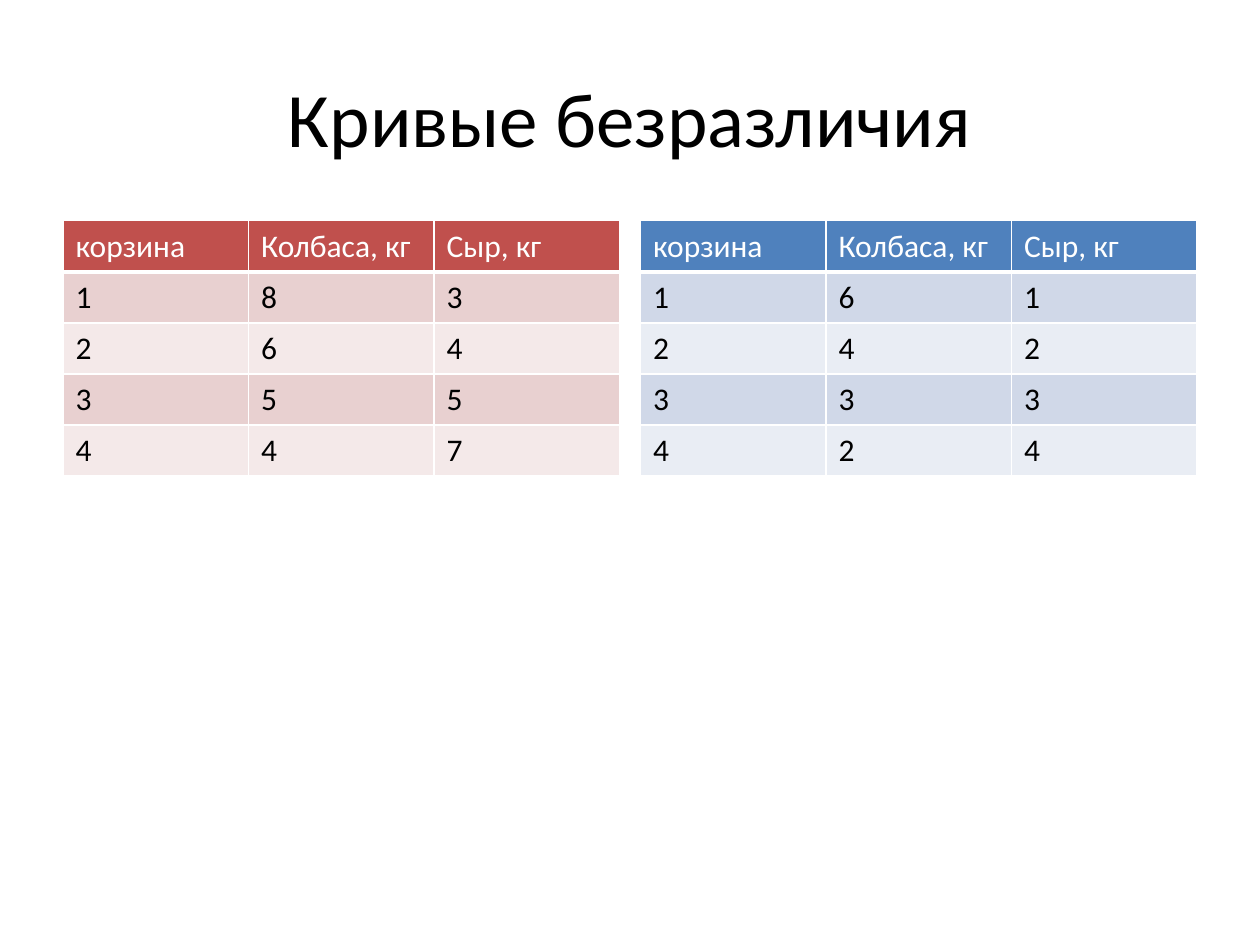
from dataclasses import dataclass

from lxml.etree import SubElement
from pptx import Presentation
from pptx.dml.color import RGBColor
from pptx.enum.text import MSO_ANCHOR, PP_ALIGN
from pptx.oxml.ns import qn
from pptx.util import Cm, Pt


@dataclass(frozen=True)
class Theme:
    font: str = "Calibri"
    title_size: int = 44
    table_size: int = 18
    dark: str = "000000"
    light: str = "FFFFFF"
    # Header, odd row, even row
    red: tuple = ("C0504D", "E8D0D0", "F4E9E9")
    blue: tuple = ("4F81BD", "D0D8E8", "E9EDF4")


theme = Theme()


def style_text(paragraph, size, color):
    font = paragraph.runs[0].font
    for name, value in {"name": theme.font, "size": Pt(size)}.items():
        setattr(font, name, value)
    font.color.rgb = RGBColor.from_string(color)


def add_borders(cell, widths):
    properties = cell._tc.get_or_add_tcPr()
    for side, width in widths.items():
        line = SubElement(properties, qn(f"a:ln{side}"), w=str(Pt(width)))
        fill = SubElement(line, qn("a:solidFill"))
        SubElement(fill, qn("a:srgbClr"), val=theme.light)


presentation = Presentation()
presentation.slide_width, presentation.slide_height = Cm(25.4), Cm(19.05)
slide = presentation.slides.add_slide(presentation.slide_layouts[6])

# Title
title = slide.shapes.add_textbox(Cm(1.27), Cm(0.76), Cm(22.86), Cm(3.18))
frame = title.text_frame
for name, value in {"word_wrap": True, "vertical_anchor": MSO_ANCHOR.MIDDLE}.items():
    setattr(frame, name, value)
paragraph = frame.paragraphs[0]
paragraph.text = "Кривые безразличия"
paragraph.alignment = PP_ALIGN.CENTER
style_text(paragraph, theme.title_size, theme.dark)

# Two tables of baskets, side by side
header = ("корзина", "Колбаса, кг", "Сыр, кг")
baskets = [
    (1.27, theme.red, [(8, 3), (6, 4), (5, 5), (4, 7)]),
    (12.91, theme.blue, [(6, 1), (4, 2), (3, 3), (2, 4)]),
]
column_width, row_height = 3.74, 1.03

for left, palette, amounts in baskets:
    rows = [header] + [(number, *pair) for number, pair in enumerate(amounts, 1)]
    table = slide.shapes.add_table(
        len(rows), len(header), Cm(left), Cm(4.45),
        Cm(column_width * len(header)), Cm(row_height * len(rows)),
    ).table
    for column in table.columns:
        column.width = Cm(column_width)
    for row_index, values in enumerate(rows):
        table.rows[row_index].height = Cm(row_height)
        is_header = row_index == 0
        fill_color = palette[0] if is_header else palette[2 - row_index % 2]
        for column_index, value in enumerate(values):
            cell = table.cell(row_index, column_index)
            cell.text = str(value)
            style_text(cell.text_frame.paragraphs[0], theme.table_size,
                       theme.light if is_header else theme.dark)
            add_borders(cell, {"L": 1, "R": 1, "T": 1, "B": 3 if is_header else 1})
            cell.fill.solid()
            cell.fill.fore_color.rgb = RGBColor.from_string(fill_color)

presentation.save("out.pptx")
